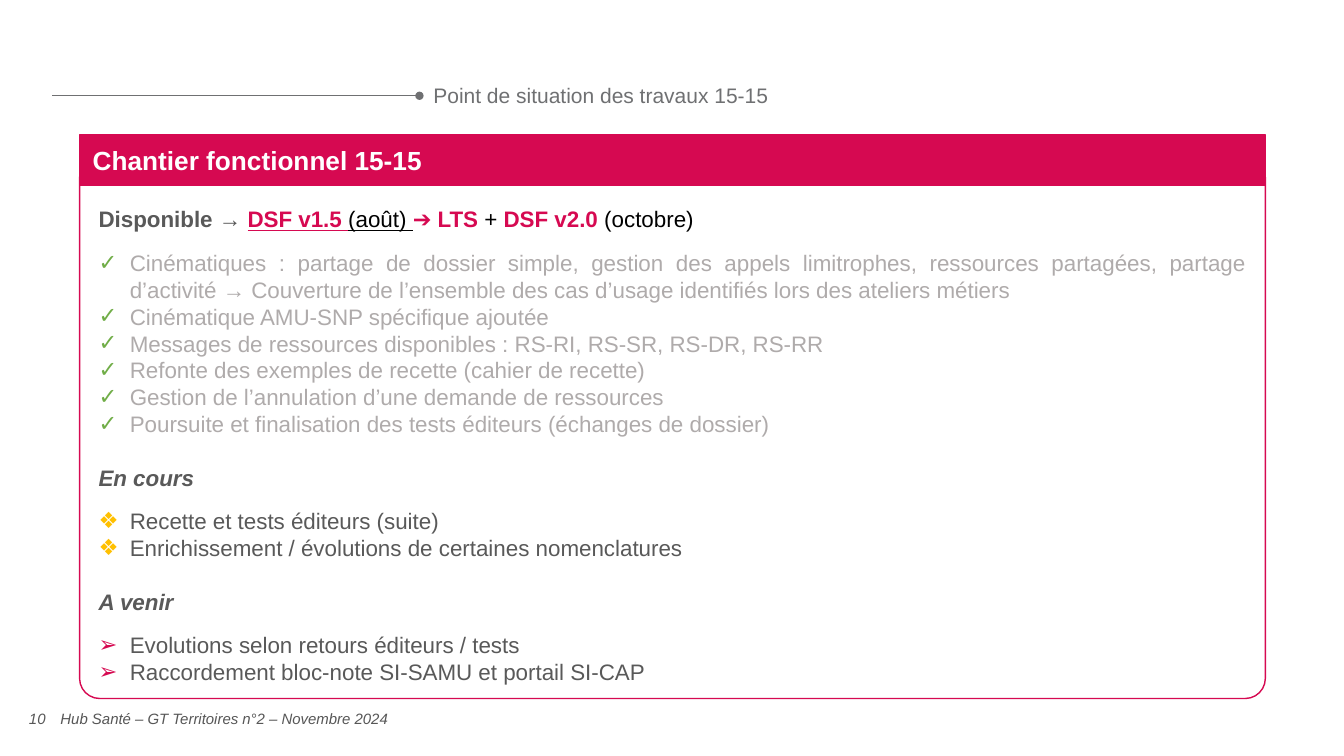
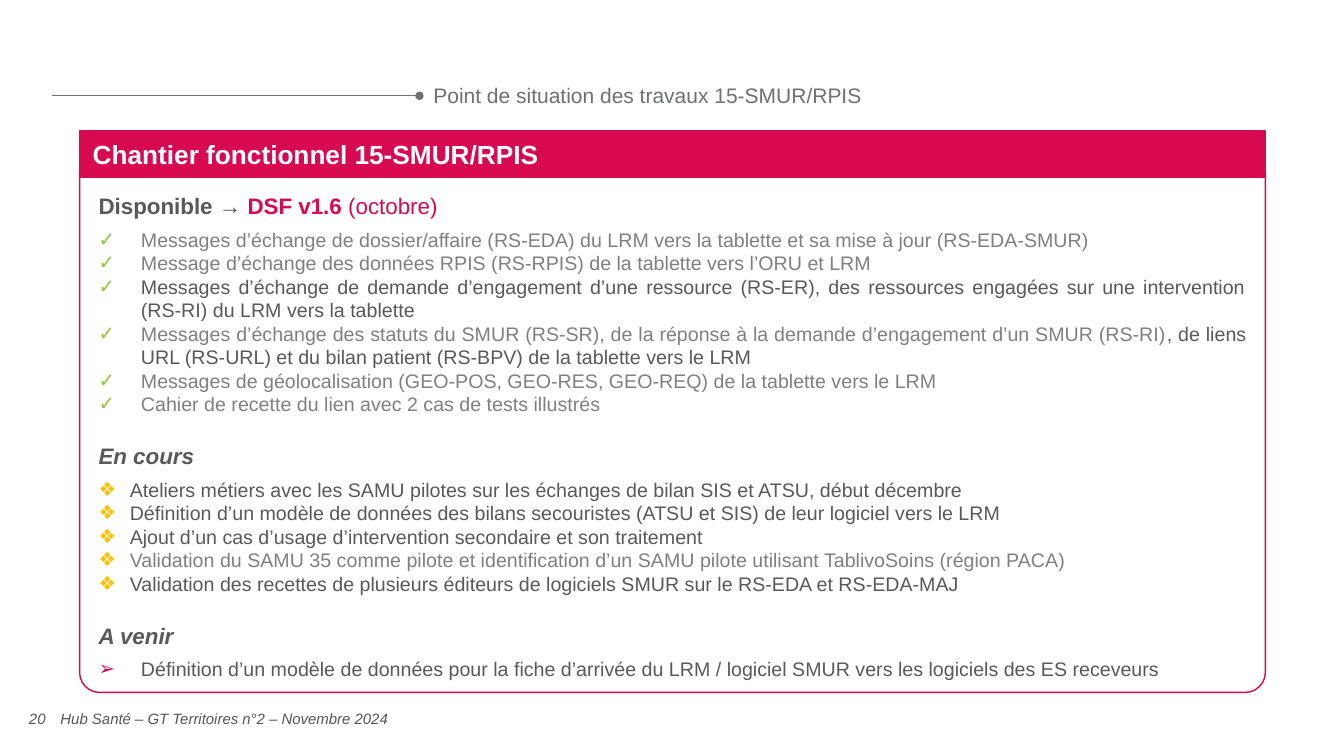
from lxml import etree
from pptx import Presentation
from pptx.dml.color import RGBColor
from pptx.enum import shapes, text
from pptx.oxml import ns
from pptx.util import Inches, Pt

FONT = "Arial"
PINK, DARK, GREY, FOOT = "D60951", "595959", "6F7072", "575757"
PALE, MID, BLACK, WHITE = "AFABAB", "808080", "000000", "FFFFFF"
GOLD, LEAF, LIME = "FFC000", "70AD47", "95C23D"
LEFT, WIDE = 0.79, 11.76
FOOTER = "Hub Santé – GT Territoires n°2 – Novembre 2024"


def color(code):
    return RGBColor.from_string(code)


def child(node, tag, **attrs):
    return etree.SubElement(node, ns.qn(tag), **attrs)


def add_run(para, words, size, code, style=""):
    run = para.add_run()
    run.text = words
    font = run.font
    font.name, font.size = FONT, Pt(size)
    font.color.rgb = color(code)
    font.bold, font.italic = "b" in style, "i" in style
    font.underline = "u" in style


def set_frame(shape, insets, anchor):
    frame = shape.text_frame
    frame.word_wrap = True
    frame.vertical_anchor = anchor
    (frame.margin_left, frame.margin_top,
     frame.margin_right, frame.margin_bottom) = map(Inches, insets)
    return frame


def add_label(slide, box, words, size, code, style="", insets=(0, 0, 0, 0)):
    shape = slide.shapes.add_textbox(*map(Inches, box))
    frame = set_frame(shape, insets, text.MSO_ANCHOR.MIDDLE)
    para = frame.paragraphs[0]
    add_run(para, words, size, code, style)
    return para


def add_panel(slide, kind, box, fill=None):
    shape = slide.shapes.add_shape(kind, *map(Inches, box))
    shape.shadow.inherit = False
    shape.line.color.rgb = color(PINK)
    shape.line.width = Pt(1)
    if fill:
        shape.fill.solid()
        shape.fill.fore_color.rgb = color(fill)
    else:
        shape.fill.background()
    return shape


def add_rule(slide):
    y = Inches(0.95)
    rule = slide.shapes.add_connector(
        shapes.MSO_CONNECTOR.STRAIGHT, Inches(0.52), y, Inches(4.16), y)
    rule.line.color.rgb = color(GREY)
    rule.line.width = Pt(0.5)
    child(rule.line._get_or_add_ln(), "a:tailEnd", type="oval")
    child(rule._element.spPr, "a:effectLst")


def set_bullet(para, mark, code, indent):
    props = para._p.get_or_add_pPr()
    props.set("marL", str(Inches(indent)))
    props.set("indent", str(-Inches(indent)))
    child(child(props, "a:buClr"), "a:srgbClr", val=code)
    child(props, "a:buFont", typeface=FONT)
    child(props, "a:buChar", char=mark)


def add_para(frame, runs, size, before):
    first = not frame.paragraphs[0].runs
    para = frame.paragraphs[0] if first else frame.add_paragraph()
    para.alignment = text.PP_ALIGN.JUSTIFY
    para.space_before = Pt(0 if first else before)
    for run in runs:
        add_run(para, run[0], size, *run[1:])
    return para


def add_body(slide, top, height, inset, size, gap, groups):
    panel = add_panel(slide, shapes.MSO_SHAPE.ROUNDED_RECTANGLE,
                      (LEFT, top, WIDE, height))
    panel.adjustments[0] = 0.037
    frame = set_frame(panel, (0.13, inset, 0.13, 0.07), text.MSO_ANCHOR.TOP)
    for head, mark, code, indent, items in groups:
        add_para(frame, head, 16, 19)
        for n, runs in enumerate(items):
            para = add_para(frame, runs, size, 0 if n else gap)
            set_bullet(para, mark, code, indent)


def add_band(slide, top, height, words):
    band = add_panel(slide, shapes.MSO_SHAPE.RECTANGLE,
                     (LEFT, top, WIDE, height), PINK)
    frame = set_frame(band, (0.13, 0.07, 0.13, 0.07), text.MSO_ANCHOR.MIDDLE)
    para = frame.paragraphs[0]
    para.alignment = text.PP_ALIGN.LEFT
    add_run(para, words, 18.7, WHITE, "b")


def add_slide(deck, number, topic, band, body):
    slide = deck.slides.add_slide(deck.slide_layouts[6])
    add_rule(slide)
    page = add_label(slide, (0.16, 6.93, 0.42, 0.4), number, 10.7, FOOT, "i")
    page.alignment = text.PP_ALIGN.CENTER
    title = add_label(slide, (4.2, 0.79, 7.72, 0.33),
                      "Point de situation des travaux " + topic, 15, GREY,
                      insets=(0.1, 0.05, 0.1, 0.05))
    title.line_spacing = 0.9
    add_body(slide, *body)
    add_band(slide, *band, "Chantier fonctionnel " + topic)
    add_label(slide, (0.6, 6.93, 10.1, 0.4), FOOTER, 10.7, FOOT, "i")


def plain(code, *lines):
    return [[(line, code)] for line in lines]


def main():
    deck = Presentation()
    deck.slide_width, deck.slide_height = Inches(13.33), Inches(7.5)
    ready = [("Disponible ", DARK, "b"), ("→\u00a0".replace("\u00a0", " "), DARK)]
    ready = [("Disponible ", DARK, "b"), ("→ ", DARK)]
    doing = [("En cours", DARK, "bi")]
    coming = [("A venir", DARK, "bi")]

    calls = [
        (ready + [("DSF v1.5 ", PINK, "bu"), ("(août) ", BLACK, "u"),
                  ("➔ LTS ", PINK, "b"), ("+ ", BLACK),
                  ("DSF v2.0 ", PINK, "b"), ("(octobre)", BLACK)],
         "✓", LEAF, 0.31, plain(
             PALE,
             "Cinématiques : partage de dossier simple, gestion des appels "
             "limitrophes, ressources partagées, partage d’activité → "
             "Couverture de l’ensemble des cas d’usage identifiés lors des "
             "ateliers métiers",
             "Cinématique AMU-SNP spécifique ajoutée",
             "Messages de ressources disponibles : RS-RI, RS-SR, RS-DR, RS-RR",
             "Refonte des exemples de recette (cahier de recette)",
             "Gestion de l’annulation d’une demande de ressources",
             "Poursuite et finalisation des tests éditeurs "
             "(échanges de dossier)")),
        (doing, "❖", GOLD, 0.31, plain(
            DARK,
            "Recette et tests éditeurs (suite)",
            "Enrichissement / évolutions de certaines nomenclatures")),
        (coming, "➢", PINK, 0.31, plain(
            DARK,
            "Evolutions selon retours éditeurs / tests",
            "Raccordement bloc-note SI-SAMU et portail SI-CAP")),
    ]
    add_slide(deck, "10", "15-15", (1.34, 0.5),
              (1.56, 5.37, 0.42, 16, 12, calls))

    units = [
        (ready + [("DSF v1.6 ", PINK, "b"), ("(octobre)", PINK)],
         "✓", LIME, 0.42,
         plain(MID,
               "Messages d’échange de dossier/affaire (RS-EDA) du LRM vers "
               "la tablette et sa mise à jour (RS-EDA-SMUR)",
               "Message d’échange des données RPIS (RS-RPIS) de la tablette "
               "vers l’ORU et LRM")
         + plain(DARK,
                 "Messages d’échange de demande d’engagement d’une ressource "
                 "(RS-ER), des ressources engagées sur une intervention "
                 "(RS-RI) du LRM vers la tablette")
         + [[("Messages d’échange des statuts du SMUR (RS-SR), de la réponse "
              "à la demande d’engagement d’un SMUR (RS-RI)", MID),
             (", de liens URL (RS-URL) et du bilan patient (RS-BPV) de la "
              "tablette vers le LRM", DARK)]]
         + plain(MID,
                 "Messages de géolocalisation (GEO-POS, GEO-RES, GEO-REQ) de "
                 "la tablette vers le LRM",
                 "Cahier de recette du lien avec 2 cas de tests illustrés")),
        (doing, "❖", GOLD, 0.31,
         plain(DARK,
               "Ateliers métiers avec les SAMU pilotes sur les échanges de "
               "bilan SIS et ATSU, début décembre",
               "Définition d’un modèle de données des bilans secouristes "
               "(ATSU et SIS) de leur logiciel vers le LRM",
               "Ajout d’un cas d’usage d’intervention secondaire et son "
               "traitement")
         + plain(MID,
                 "Validation du SAMU 35 comme pilote et identification d’un "
                 "SAMU pilote utilisant TablivoSoins (région PACA)")
         + plain(DARK,
                 "Validation des recettes de plusieurs éditeurs de logiciels "
                 "SMUR sur le RS-EDA et RS-EDA-MAJ")),
        (coming, "➢", PINK, 0.42, plain(
            DARK,
            "Définition d’un modèle de données pour la fiche d’arrivée du "
            "LRM / logiciel SMUR vers les logiciels des ES receveurs")),
    ]
    add_slide(deck, "20", "15-SMUR/RPIS", (1.3, 0.46),
              (1.51, 5.36, 0.34, 14, 6, units))
    deck.save("out.pptx")


if __name__ == "__main__":
    main()
